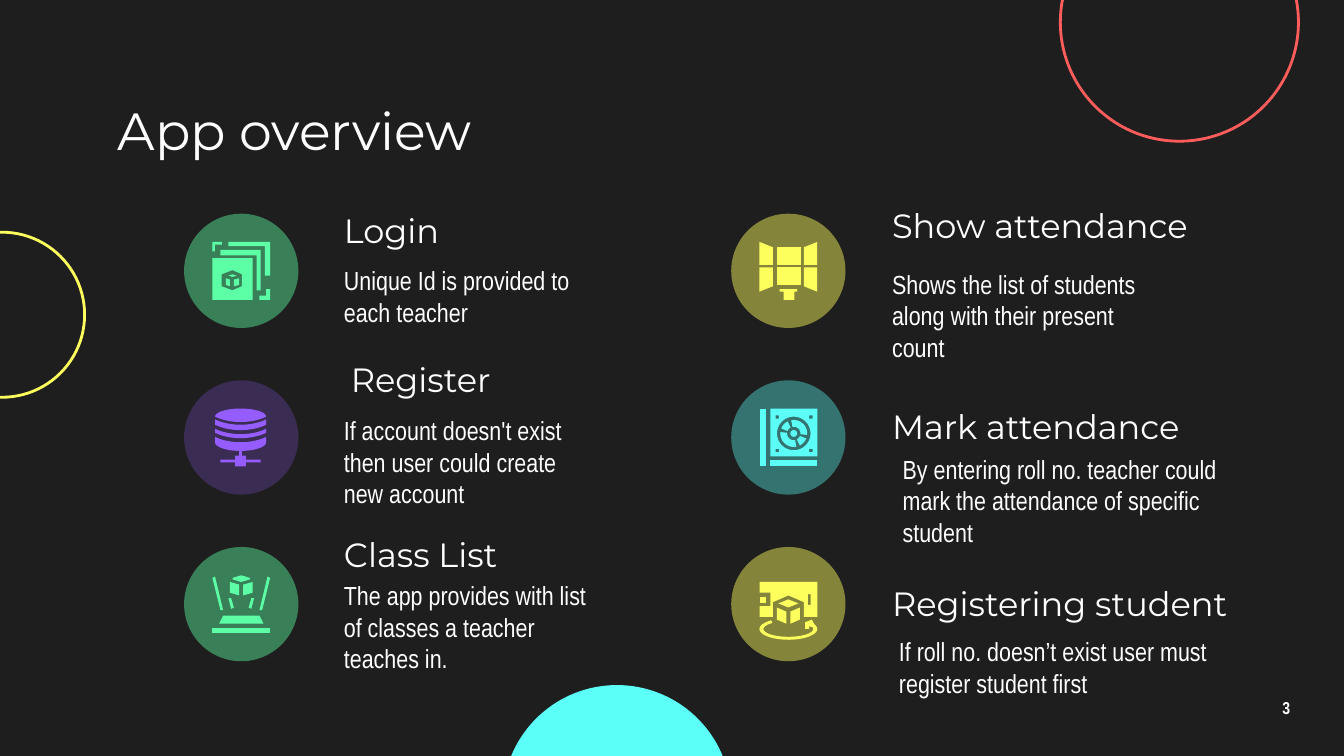
import math

from lxml import etree
from pptx import Presentation
from pptx import util as u
from pptx.dml.color import RGBColor
from pptx.enum import shapes, text
from pptx.oxml.ns import qn

COLORS = {"dark": "1E1E1E", "white": "FFFFFF", "green": "5CFFA6", "purple": "955CFF",
          "yellow": "FDFF5C", "cyan": "5CFFF8", "red": "FF5C5C"}
HEADING_FONT, BODY_FONT = "Montserrat", "Arial Narrow"
BADGE_SIZE = 2.16
BADGE_COLUMNS = (3.48, 13.82)
BADGE_TOP, BADGE_STEP = 4.04, 3.15
ICON_GRID = 85  # icon units across one badge

# heading, its box, description, its box (left, top, width, height in cm)
FEATURES = [
    ("Login", (6.25, 3.81, 5.31, 1.07),
     "Unique Id is provided to each teacher", (6.25, 4.95, 5.31, 1.3)),
    ("Register", (6.38, 6.63, 5.31, 1.07),
     "If account doesn't exist then user could create new account", (6.25, 8.08, 5.31, 1.3)),
    ("Class List", (6.25, 9.93, 5.31, 1.07),
     "The app provides with list of classes a teacher teaches in.", (6.25, 11.2, 5.31, 1.3)),
    ("Show attendance", (16.61, 3.61, 6.6, 1.3),
     "Shows the list of students along with their present count", (16.61, 5.31, 5.31, 1.3)),
    ("Mark attendance", (16.61, 7.52, 6.35, 1.07),
     "By entering roll no. teacher could mark the attendance of specific student",
     (16.81, 8.81, 6.6, 1.3)),
    ("Registering student", (16.61, 10.87, 8.43, 1.07),
     "If roll no. doesn’t exist user must register student first", (16.74, 11.96, 6.35, 1.3)),
]


def rgb(color):
    return RGBColor.from_string(COLORS[color])


def write(shape, words, font=BODY_FONT, size=14, bold=False, align=text.PP_ALIGN.LEFT):
    frame = shape.text_frame
    frame.word_wrap = True
    frame.auto_size = text.MSO_AUTO_SIZE.NONE
    frame.vertical_anchor = text.MSO_ANCHOR.MIDDLE
    frame.margin_left = frame.margin_right = u.Cm(0.25)
    frame.margin_top = frame.margin_bottom = u.Cm(0.25)
    paragraph = frame.paragraphs[0]
    paragraph.alignment = align
    run = paragraph.add_run()
    run.text = words
    run.font.name, run.font.size, run.font.bold = font, u.Pt(size), bold
    run.font.color.rgb = rgb("white")


def add_label(slide, words, area, **style):
    write(slide.shapes.add_textbox(*map(u.Cm, area)), words, **style)


def add_circle(slide, left, top, diameter, fill=None, line=None, opacity=100):
    circle = slide.shapes.add_shape(shapes.MSO_SHAPE.OVAL, *map(u.Cm, (left, top, diameter, diameter)))
    circle.shadow.inherit = False
    if fill:
        circle.fill.solid()
        circle.fill.fore_color.rgb = rgb(fill)
        if opacity < 100:
            tint = circle.fill._xPr.find(qn("a:solidFill"))[0]
            etree.SubElement(tint, qn("a:alpha"), val=str(opacity * 1000))
    else:
        circle.fill.background()
    if line:
        circle.line.color.rgb = rgb(line)
        circle.line.width = u.Pt(1.5)
    else:
        circle.line.fill.background()


def add_icon(slide, left, top, parts, color):
    """Draw each part, a list of closed outlines in icon units, as one freeform."""
    unit = u.Cm(BADGE_SIZE) / ICON_GRID
    group = slide.shapes.add_group_shape()
    for outlines in parts:
        builder = None
        for outline in outlines:
            points = [(x * unit, y * unit) for x, y in outline]
            if builder is None:
                builder = group.shapes.build_freeform(*points[0])
            else:
                builder.move_to(*points[0])
            builder.add_line_segments(points[1:], close=True)
        piece = builder.convert_to_shape(u.Cm(left), u.Cm(top))
        piece.shadow.inherit = False
        piece.fill.solid()
        piece.fill.fore_color.rgb = rgb(color)
        piece.line.fill.background()


def box(left, top, right, bottom):
    return [(left, top), (left, bottom), (right, bottom), (right, top)]


def arc(cx, cy, rx, ry, start=0, end=360, steps=32):
    angles = [math.radians(start + (end - start) * i / steps) for i in range(steps + 1)]
    return [(cx + rx * math.cos(a), cy + ry * math.sin(a)) for a in angles]


def with_mirror(outline):
    return [outline, [(ICON_GRID - x, y) for x, y in outline]]


def separate(*outlines):
    return [[outline] for outline in outlines]


def layers_icon():
    front = [box(21, 33, 51, 64), [(36, 42), (43, 45), (43, 54), (36, 57), (28, 54), (28, 45)]]
    return [front] + separate(
        [(33, 21), (33, 24), (60, 24), (60, 46), (64, 46), (64, 21)],
        [(27, 27), (27, 31), (54, 31), (54, 57), (57, 57), (57, 27)],
        [(36, 45), (33, 46), (36, 47), (39, 46)],
        [(41, 48), (37, 49), (37, 54), (41, 53)],
        [(31, 48), (31, 53), (34, 54), (34, 49)],
        [(61, 56), (61, 61), (56, 61), (56, 64), (64, 64), (64, 56)],
        [(21, 21), (21, 28), (23, 28), (23, 23), (28, 23), (28, 21)])


def database_icon():
    def sag(y):
        return arc(42, y - 9.7, 26.9, 13.7, 45, 135)

    def band(top, bottom):
        return sag(top) + bottom[::-1]

    stand = [(41, 52), (41, 56), (38, 56), (38, 59), (27, 59), (27, 61), (38, 61), (38, 64),
             (46, 64), (46, 61), (57, 61), (57, 59), (46, 59), (46, 56), (43, 56), (43, 52)]
    lid = arc(42, 27, 19, 6, 180, 360) + sag(27)
    return separate(stand, lid, band(29, sag(33)), band(36, sag(39)),
                    band(42, arc(42, 46, 19, 6.5, 0, 180)))


def hologram_icon():
    return separate(
        *with_mirror([(34, 26), (34, 34), (41, 36), (41, 28)]),
        [(42.5, 21), (36, 23), (36, 24), (42.5, 26), (49, 24), (49, 23)],
        *with_mirror([(23, 22), (21, 23), (27, 47), (29, 47)]),
        *with_mirror([(35, 38), (33, 38), (35, 46), (37, 45)]),
        [(29, 51), (26, 57), (59, 57), (56, 51)],
        box(21, 60, 64, 64))


def display_icon():
    return separate(
        [(36, 56), (36, 58), (39, 58), (39, 64), (47, 64), (47, 58), (49, 58), (49, 56)],
        box(34, 25, 52, 38), box(34, 40, 52, 53),
        *with_mirror([(21, 21), (21, 38), (31, 38), (31, 25)]),
        *with_mirror([(21, 40), (21, 58), (31, 54), (31, 40)]))


def disc_icon():
    x, y = 46.5, 39.5

    def sector(start, end):
        return arc(x, y, 10, 10, start, end) + arc(x, y, 5, 5, end, start)

    sectors = [sector(turn + a, turn + b) for turn in (0, 180) for a, b in ((22, 63), (79, 186))]
    screws = [box(left, top, left + 2.5, top + 2.5) for left in (33, 58) for top in (26, 51)]
    cover = [box(29, 21, 64, 56.5), arc(x, y, 12.5, 12.5)] + screws
    return [cover] + separate(arc(x, y, 2.5, 2.5), *sectors,
                              box(21, 21, 26, 64), box(29, 59, 64, 64))


def room_icon():
    screen = [[(21, 26), (21, 34), (29, 34), (29, 44), (21, 44), (21, 52), (31, 52), (31, 41),
               (42.5, 36), (54, 41), (54, 52), (64, 52), (64, 26)], box(57, 35, 59, 43)]
    orbit = ([(60, 54), (55, 56), (55, 61), (58, 61), (58, 59)]
             + arc(42.5, 61, 18.5, 5.8, -15, 230) + arc(42.5, 61, 21.5, 8, 234, -25) + [(61, 56)])
    return [screen] + separate(
        box(21, 37, 26, 42), orbit,
        [(42.5, 39), (35, 42), (42.5, 45), (50, 42)],
        *with_mirror([(34, 45), (34, 54), (41, 57), (41, 48)]))


def add_badges(slide):
    badges = [(layers_icon, "green", 44), (database_icon, "purple", 24),
              (hologram_icon, "green", 44), (display_icon, "yellow", 46),
              (disc_icon, "cyan", 38), (room_icon, "yellow", 46)]
    for index, (icon, color, opacity) in enumerate(badges):
        column, row = divmod(index, 3)
        left, top = BADGE_COLUMNS[column], BADGE_TOP + row * BADGE_STEP
        add_circle(slide, left, top, BADGE_SIZE, fill=color, opacity=opacity)
        add_icon(slide, left, top, icon(), color)


def main():
    deck = Presentation()
    deck.slide_width, deck.slide_height = u.Cm(25.4), u.Cm(14.29)
    slide = deck.slides.add_slide(deck.slide_layouts[5])
    slide.background.fill.solid()
    slide.background.fill.fore_color.rgb = rgb("dark")

    add_circle(slide, -1.52, 4.39, 3.12, line="yellow")
    add_circle(slide, 9.5, 12.95, 4.32, fill="cyan")
    add_circle(slide, 20.04, -1.83, 4.5, line="red")

    title = slide.shapes.title
    title.left, title.top, title.width, title.height = map(u.Cm, (1.98, 1.8, 21.44, 1.3))
    write(title, "App overview", font=HEADING_FONT, size=28)
    for heading, heading_area, description, description_area in FEATURES:
        add_label(slide, heading, heading_area, font=HEADING_FONT, size=18)
        add_label(slide, description, description_area)
    add_badges(slide)
    add_label(slide, "3", (23.55, 12.95, 1.52, 0.86), size=9.2, bold=True,
              align=text.PP_ALIGN.CENTER)
    deck.save("out.pptx")


if __name__ == "__main__":
    main()
